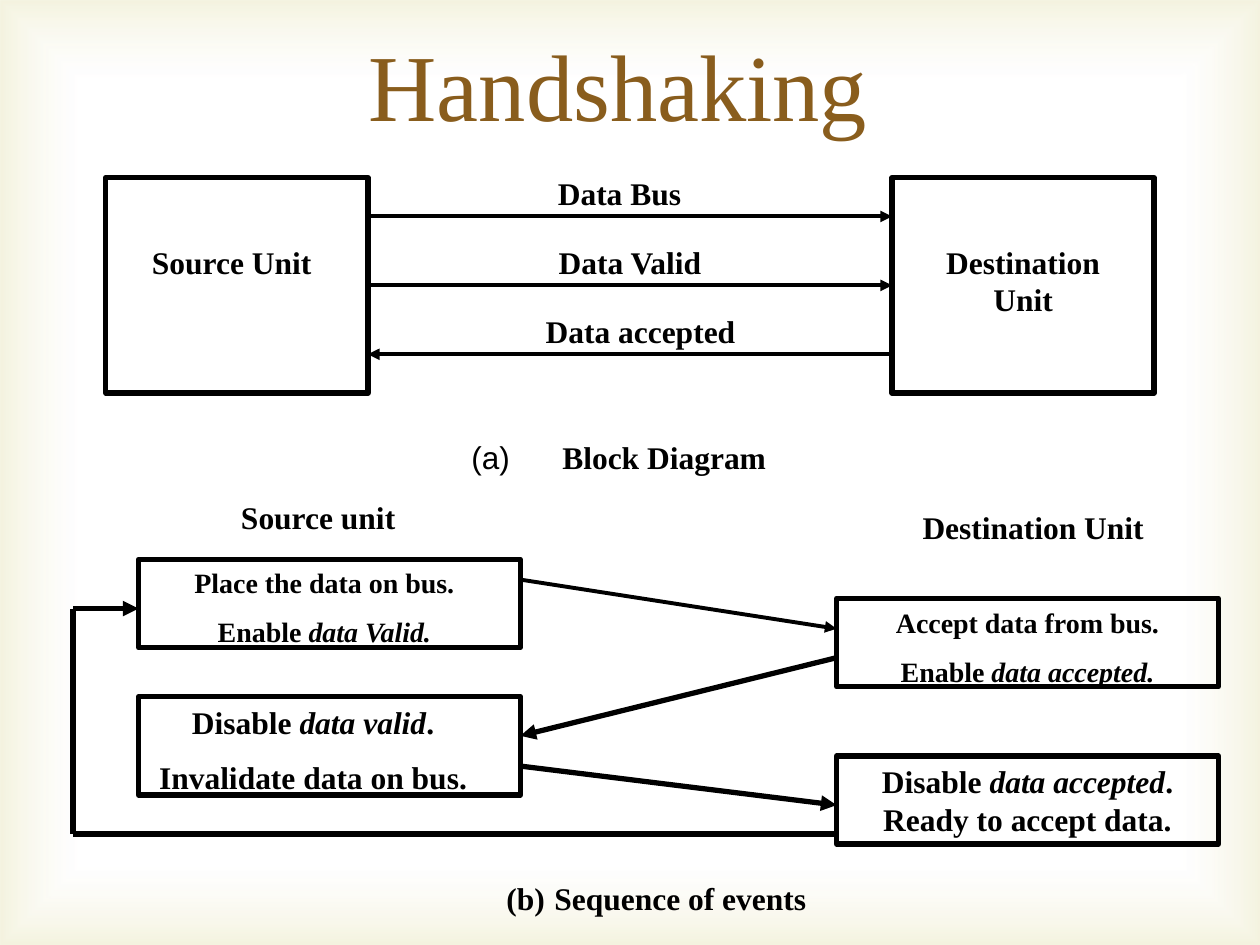
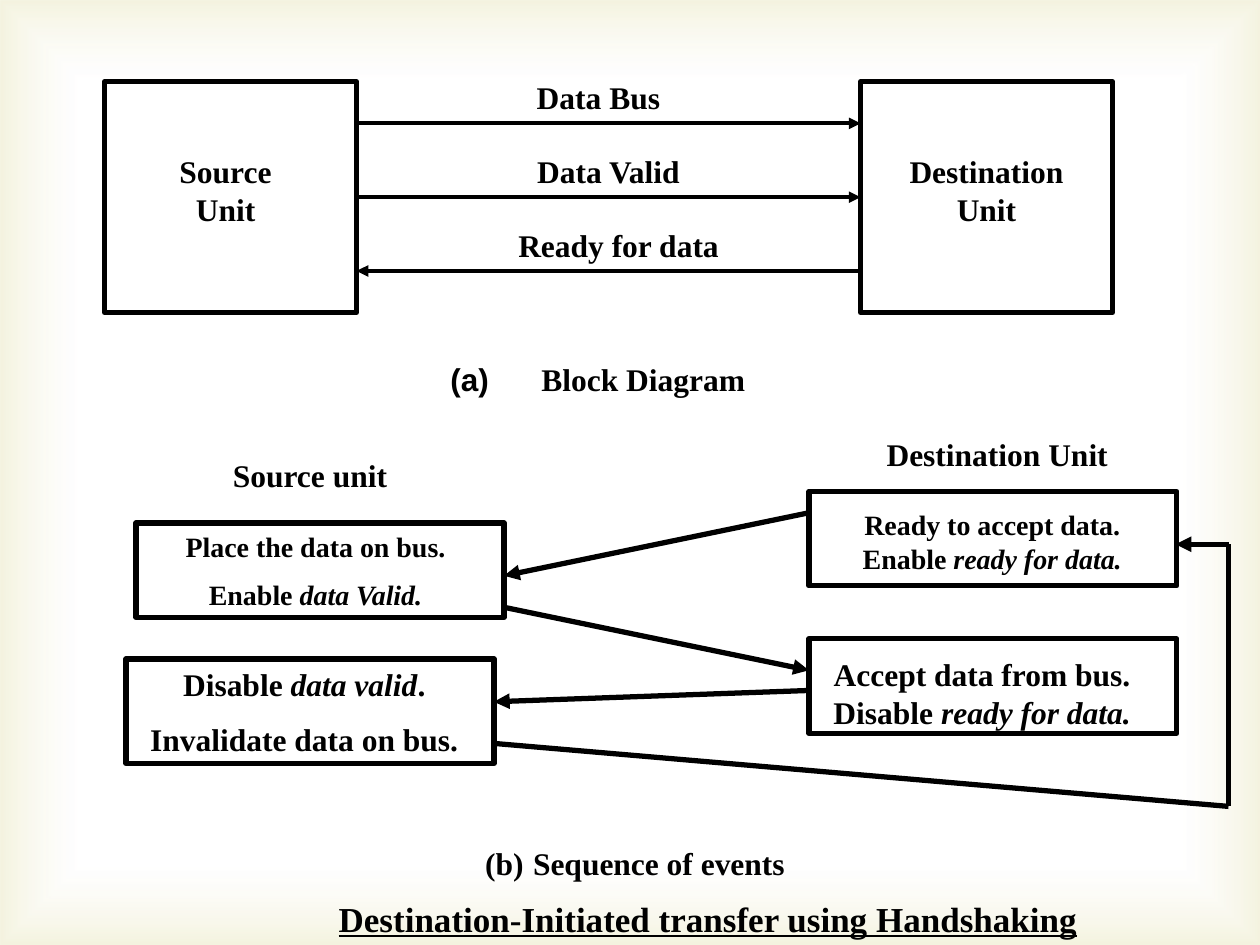
"""Build two slides on handshaking between a source and a destination unit."""
import dataclasses
import typing

import lxml.etree
import pptx
import pptx.dml.color
import pptx.enum.shapes
import pptx.enum.text
import pptx.oxml.ns
import pptx.util

Inches = pptx.util.Inches
Pt = pptx.util.Pt

BLACK = "000000"
TITLE_COLOR = "895D1D"
SERIF = "Times New Roman"
SANS = "Arial"
# Background gradient: position, colour, opacity in thousandths of a percent
GRADIENT_STOPS = ((0.83, "FFFFFF", 11000), (1.0, "D1CA75", 23000))
THIN, THICK = 2.25, 3
LABEL_HEIGHT = 0.4


class Frame(typing.NamedTuple):
    """Left, top, width and height in inches."""

    left: float
    top: float
    width: float
    height: float


class Arrow(typing.NamedTuple):
    """A straight line in inches; the head sits at the end point."""

    start: tuple[float, float]
    end: tuple[float, float]
    width: float = THICK
    head: bool = True


@dataclasses.dataclass
class Label:
    """Bold centred text; asterisks enclose italic words."""

    frame: Frame
    lines: list[str]
    size: float = 18
    underline: bool = False


@dataclasses.dataclass
class Step:
    """An outlined box in the sequence of events, with its text."""

    box: Frame
    label: Label


@dataclasses.dataclass
class BlockDiagram:
    """Two units joined by three signals, the last one running back."""

    left: float
    top: float
    width: float
    height: float
    reply: str
    marker_bold: bool


def color(value: str) -> pptx.dml.color.RGBColor:
    """Turn a hex string into a colour."""
    return pptx.dml.color.RGBColor.from_string(value)


def add_element(parent, tag: str, **attributes: str):
    """Append a drawing element such as a:tailEnd to its parent."""
    element = lxml.etree.SubElement(parent, pptx.oxml.ns.qn(tag))
    for name, value in attributes.items():
        element.set(name, value)
    return element


def lengths(values: typing.Iterable[float]) -> list:
    """Convert numbers to lengths in inches."""
    return [Inches(value) for value in values]


def style_run(run, size: float, bold: bool = True, italic: bool = False,
              font: str = SERIF, fill: str = BLACK) -> None:
    """Set the font of one run."""
    run.font.name = font
    run.font.size = Pt(size)
    run.font.bold = bold
    run.font.italic = italic
    run.font.color.rgb = color(fill)


def add_text_frame(slide, frame: Frame):
    """Add a wrapping text box and return its text frame, centred."""
    text_frame = slide.shapes.add_textbox(*lengths(frame)).text_frame
    text_frame.word_wrap = True
    text_frame.paragraphs[0].alignment = pptx.enum.text.PP_ALIGN.CENTER
    return text_frame


def add_label(slide, label: Label):
    """Draw a label and return its first paragraph."""
    text_frame = add_text_frame(slide, label.frame)
    for index, line in enumerate(label.lines):
        if index:
            paragraph = text_frame.add_paragraph()
            paragraph.alignment = pptx.enum.text.PP_ALIGN.CENTER
            paragraph.space_before = Pt(label.size * 0.55)
        else:
            paragraph = text_frame.paragraphs[0]
        for part, words in enumerate(line.split("*")):
            if words:
                run = paragraph.add_run()
                run.text = words
                style_run(run, label.size, italic=part % 2 == 1)
                run.font.underline = label.underline
    return text_frame.paragraphs[0]


def add_box(slide, frame: Frame) -> None:
    """Draw an unfilled box with a thick black outline."""
    shape = slide.shapes.add_shape(
        pptx.enum.shapes.MSO_SHAPE.RECTANGLE, *lengths(frame))
    shape.shadow.inherit = False
    shape.fill.background()
    shape.line.color.rgb = color(BLACK)
    shape.line.width = Pt(THICK)


def add_arrow(slide, arrow: Arrow) -> None:
    """Draw a straight line, with a triangular head if wanted."""
    connector = slide.shapes.add_connector(
        pptx.enum.shapes.MSO_CONNECTOR.STRAIGHT,
        *lengths(arrow.start + arrow.end))
    connector.line.color.rgb = color(BLACK)
    connector.line.width = Pt(arrow.width)
    properties = connector._element.spPr
    if arrow.head:
        line = properties.find(pptx.oxml.ns.qn("a:ln"))
        add_element(line, "a:tailEnd", type="triangle")
    add_element(properties, "a:effectLst")


def add_background(slide) -> None:
    """Cover the slide with a gradient that tints only its edges."""
    shape = slide.shapes.add_shape(
        pptx.enum.shapes.MSO_SHAPE.RECTANGLE, *lengths((0, 0, 10, 7.5)))
    shape.shadow.inherit = False
    shape.line.fill.background()
    shape.fill.gradient()
    for stop, (position, value, opacity) in zip(
            shape.fill.gradient_stops, GRADIENT_STOPS):
        stop.position = position
        stop.color.rgb = color(value)
    gradient = shape._element.spPr.find(pptx.oxml.ns.qn("a:gradFill"))
    for element, (_, _, opacity) in zip(
            gradient.iter(pptx.oxml.ns.qn("a:srgbClr")), GRADIENT_STOPS):
        add_element(element, "a:alpha", val=str(opacity))
    gradient.remove(gradient.find(pptx.oxml.ns.qn("a:lin")))
    rectangle = add_element(gradient, "a:path", path="rect")
    add_element(rectangle, "a:fillToRect",
                l="50000", t="50000", r="50000", b="50000")


def add_title(slide, text: str) -> None:
    """Draw the large slide title."""
    text_frame = add_text_frame(slide, Frame(1.28, 0.25, 7.25, 0.83))
    text_frame.vertical_anchor = pptx.enum.text.MSO_ANCHOR.MIDDLE
    paragraph = text_frame.paragraphs[0]
    paragraph.text = text
    style_run(paragraph.runs[0], 54, bold=False, fill=TITLE_COLOR)


def add_block_diagram(slide, diagram: BlockDiagram) -> None:
    """Draw both units, their signals and caption (a)."""
    left, top = diagram.left, diagram.top
    width, height = diagram.width, diagram.height
    near, far = left + width, left + 3 * width
    signal_step = height * 0.32
    label_top = top - 0.08

    units = ((left, "Source Unit", 0.71), (far, "Destination Unit", 0.75))
    for unit_left, name, share in units:
        add_box(slide, Frame(unit_left, top, width, height))
        frame = Frame(unit_left + width / 8, label_top + signal_step,
                      width * share, 0.7)
        add_label(slide, Label(frame, [name]))

    for index, name in enumerate(("Data Bus", "Data Valid", diagram.reply)):
        shift = index * signal_step
        y = top + height * 0.18 + shift
        start, end = ((far, y), (near, y)) if index == 2 else ((near, y), (far, y))
        add_arrow(slide, Arrow(start, end, THIN))
        frame = Frame(near + width * (0.46 + 0.04 * index), label_top + shift,
                      width, LABEL_HEIGHT)
        add_label(slide, Label(frame, [name]))

    frame = Frame(left + width * 0.875, top + height * 1.18,
                  width * 2.165, LABEL_HEIGHT)
    paragraph = add_text_frame(slide, frame).paragraphs[0]
    for text, font, bold in (("(a)", SANS, diagram.marker_bold),
                             (" ", SANS, False),
                             ("Block Diagram", SERIF, True)):
        run = paragraph.add_run()
        run.text = text
        style_run(run, 18, bold=bold, font=font)
    # Widen the single space between marker and caption
    paragraph.runs[1]._r.get_or_add_rPr().set("spc", "2500")


def add_sequence(slide, headings: list[Label], steps: list[Step],
                 arrows: list[Arrow], caption: Frame) -> None:
    """Draw the sequence of events and caption (b)."""
    for heading in headings:
        add_label(slide, heading)
    for step in steps:
        add_box(slide, step.box)
        add_label(slide, step.label)
    for arrow in arrows:
        add_arrow(slide, arrow)
    paragraph = add_label(slide, Label(caption, ["Sequence of events"]))
    properties = paragraph._p.get_or_add_pPr()
    properties.set("marL", str(Inches(0.38)))
    properties.set("indent", str(Inches(-0.38)))
    add_element(properties, "a:buAutoNum", type="alphaLcParenBoth", startAt="2")


def add_slide(presentation):
    """Add a blank slide with the shared background."""
    slide = presentation.slides.add_slide(presentation.slide_layouts[6])
    add_background(slide)
    return slide


PLACE_DATA = ["Place the data on bus.", "Enable *data Valid.*"]
DISABLE_VALID = ["Disable *data valid*.", "Invalidate data on bus."]


def build_source_initiated(presentation) -> None:
    """Build the slide on transfers that the source starts."""
    slide = add_slide(presentation)
    add_title(slide, "Handshaking")
    add_block_diagram(
        slide, BlockDiagram(0.84, 1.41, 2.08, 1.71, "Data accepted", False))
    headings = [Label(Frame(1.53, 3.9, 1.99, LABEL_HEIGHT), ["Source unit"]),
                Label(Frame(6.99, 3.98, 2.42, LABEL_HEIGHT), ["Destination Unit"])]
    steps = [
        Step(Frame(1.1, 4.44, 3.03, 0.7),
             Label(Frame(1.19, 4.44, 2.77, 0.77), PLACE_DATA, 16)),
        Step(Frame(6.64, 4.75, 3.03, 0.7),
             Label(Frame(6.73, 4.76, 2.85, 0.77),
                   ["Accept data from bus.", "Enable *data accepted.*"], 16)),
        Step(Frame(1.1, 5.53, 3.03, 0.78),
             Label(Frame(1.1, 5.53, 2.77, 0.85), DISABLE_VALID)),
        Step(Frame(6.64, 6, 3.03, 0.7),
             Label(Frame(6.73, 6, 2.85, 0.7),
                   ["Disable *data accepted*. Ready to accept data."])),
    ]
    arrows = [Arrow((4.13, 4.6), (6.64, 4.99), THIN),
              Arrow((6.64, 5.22), (4.13, 5.84)),
              Arrow((4.13, 6.08), (6.64, 6.39)),
              Arrow((6.64, 6.62), (0.58, 6.62), head=False),
              Arrow((0.58, 6.62), (0.58, 4.83), head=False),
              Arrow((0.58, 4.83), (1.1, 4.83))]
    add_sequence(slide, headings, steps, arrows,
                 Frame(3.61, 6.93, 3.2, LABEL_HEIGHT))


def build_destination_initiated(presentation) -> None:
    """Build the slide on transfers that the destination starts."""
    slide = add_slide(presentation)
    add_block_diagram(
        slide, BlockDiagram(0.83, 0.65, 2, 1.83, "Ready for data", True))
    headings = [Label(Frame(1.5, 3.57, 1.92, LABEL_HEIGHT), ["Source unit"]),
                Label(Frame(6.75, 3.4, 2.33, LABEL_HEIGHT), ["Destination Unit"])]
    steps = [
        Step(Frame(6.42, 3.9, 2.92, 0.75),
             Label(Frame(6.5, 3.98, 2.75, 0.64),
                   ["Ready to accept data. Enable *ready for data.*"], 16)),
        Step(Frame(1.08, 4.15, 2.92, 0.75),
             Label(Frame(1.17, 4.15, 2.67, 0.77), PLACE_DATA, 16)),
        Step(Frame(6.42, 5.07, 2.92, 0.75),
             Label(Frame(6.42, 5.15, 2.75, 0.7),
                   ["Accept data from bus. Disable *ready for data.*"])),
        Step(Frame(1, 5.23, 2.92, 0.83),
             Label(Frame(1.08, 5.23, 2.67, 0.85), DISABLE_VALID)),
    ]
    arrows = [Arrow((6.42, 4.07), (4, 4.57)),
              Arrow((4, 4.82), (6.42, 5.32)),
              Arrow((6.42, 5.48), (3.92, 5.57)),
              Arrow((3.92, 5.9), (9.75, 6.4), head=False),
              Arrow((9.75, 6.4), (9.75, 4.32), head=False),
              Arrow((9.75, 4.32), (9.33, 4.32))]
    add_sequence(slide, headings, steps, arrows,
                 Frame(3.5, 6.65, 3.08, LABEL_HEIGHT))
    add_label(slide, Label(Frame(2.33, 7.07, 6.58, 0.43),
                           ["Destination-Initiated transfer using Handshaking"],
                           20, underline=True))


presentation = pptx.Presentation()
presentation.slide_width = Inches(10)
presentation.slide_height = Inches(7.5)
build_source_initiated(presentation)
build_destination_initiated(presentation)
presentation.save("out.pptx")
